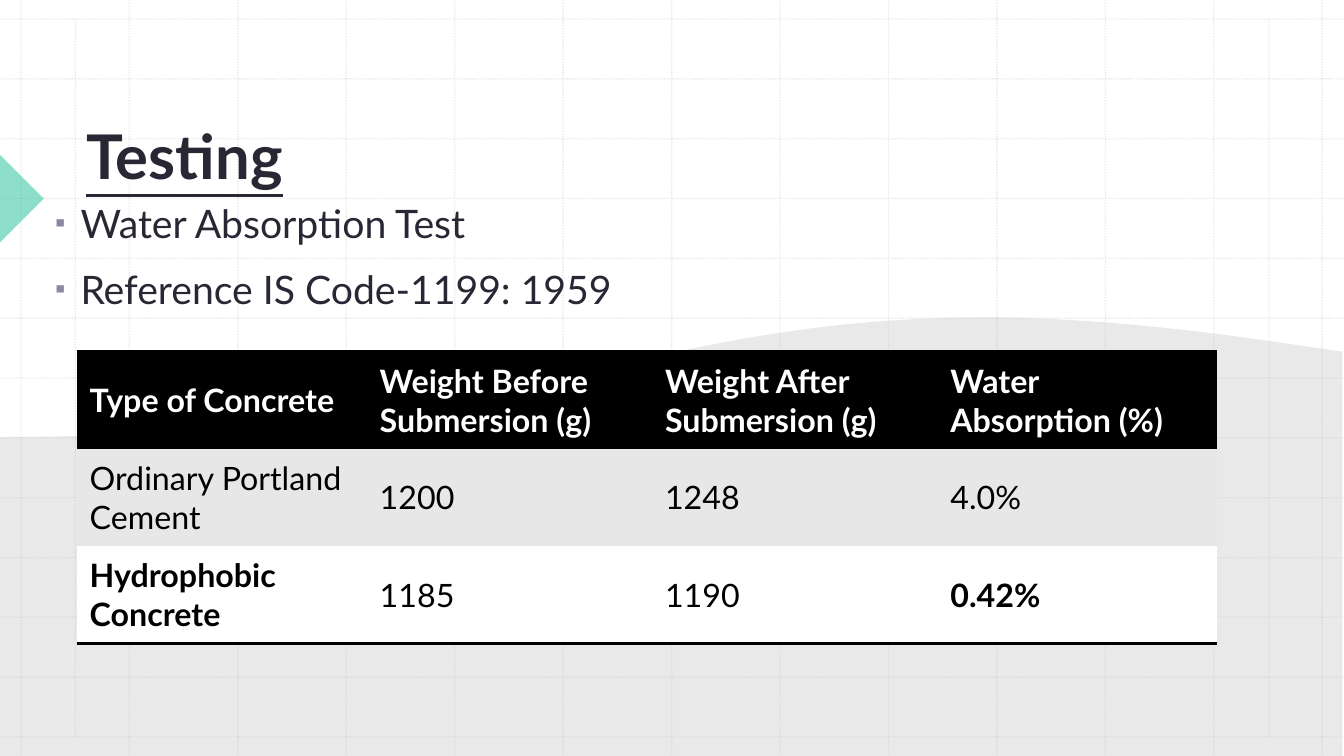
from lxml.etree import SubElement
from pptx import Presentation
from pptx.dml.color import RGBColor
from pptx.enum.dml import MSO_LINE
from pptx.enum.shapes import MSO_CONNECTOR, MSO_SHAPE
from pptx.enum.text import MSO_ANCHOR
from pptx.oxml.ns import qn
from pptx.util import Cm, Pt

HEADING = "Testing"
POINTS = ["Water Absorption Test", "Reference IS Code-1199: 1959"]
RESULTS = [
    ["Type of Concrete", "Weight Before Submersion (g)", "Weight After Submersion (g)", "Water Absorption (%)"],
    ["Ordinary Portland Cement", "1200", "1248", "4.0%"],
    ["Hydrophobic Concrete", "1185", "1190", "0.42%"],
]
BOLD_RESULTS = {"Hydrophobic Concrete", "0.42%"}
COLUMN_WIDTHS = [7.31, 7.19, 7.19, 7.04]
ROW_HEIGHT = 2.45
ROW_FILLS = ["000000", "E7E7E7", "FFFFFF"]
ROW_INKS = ["FFFFFF", "000000", "000000"]

FONT = "Lato"
INK, BULLET, GRID, ACCENT = "2A2735", "8D87A6", "BCBCBC", "1EBE9B"
WIDTH, HEIGHT = 33.87, 19.05
GRID_X, GRID_Y, GRID_STEPS = (0.53, 33.32), (0.48, 18.57), 12
MARGINS_X = [1.9, 31.98]
HILL_RISE = [(1.5, 11.0), (13.44, 10.8), (16.43, 8.0), (24.82, 8.0)]
HILL_FALL = [(24.82, 8.0), (26.9, 8.0), (29.31, 8.2), (32.31, 8.64)]
CURVE_STEPS = 40
NO_TABLE_STYLE = "{2D5ABB26-0587-4C30-8999-92F81FD0307C}"


def rgb(color):
    return RGBColor.from_string(color)


def paint(fill, color):
    fill.solid()
    fill.fore_color.rgb = rgb(color)


def set_opacity(shape, percent):
    color = next(shape._element.spPr.iter(qn("a:srgbClr")))
    SubElement(color, qn("a:alpha"), val=str(percent * 1000))


def style_text(paragraph, size, color, bold=False):
    for run in paragraph.runs:
        run.font.name = FONT
        run.font.size = Pt(size)
        run.font.bold = bold
        run.font.color.rgb = rgb(color)


def grid_line(x1, y1, x2, y2):
    line = slide.shapes.add_connector(MSO_CONNECTOR.STRAIGHT, Cm(x1), Cm(y1), Cm(x2), Cm(y2))
    line.line.color.rgb = rgb(GRID)
    line.line.width = Pt(1)
    line.line.dash_style = MSO_LINE.ROUND_DOT
    set_opacity(line, 30)
    SubElement(line._element.spPr, qn("a:effectLst"))


def curve(controls):
    for step in range(CURVE_STEPS + 1):
        t = step / CURVE_STEPS
        weights = [(1 - t) ** 3, 3 * t * (1 - t) ** 2, 3 * t**2 * (1 - t), t**3]
        yield tuple(Cm(sum(w * p[axis] for w, p in zip(weights, controls))) for axis in (0, 1))


def tint(shape, color, opacity):
    paint(shape.fill, color)
    set_opacity(shape, opacity)
    shape.line.fill.background()
    shape.shadow.inherit = False


def text_frame(left, top, width, height, anchor):
    frame = slide.shapes.add_textbox(Cm(left), Cm(top), Cm(width), Cm(height)).text_frame
    frame.word_wrap = True
    frame.vertical_anchor = anchor
    return frame


def add_bullet(paragraph):
    props = paragraph._p.get_or_add_pPr()
    props.set("marL", str(Cm(0.64)))
    props.set("indent", str(-Cm(0.64)))
    SubElement(SubElement(props, qn("a:buClr")), qn("a:srgbClr"), val=BULLET)
    SubElement(props, qn("a:buSzPct"), val="75000")
    SubElement(props, qn("a:buFont"), typeface="Arial")
    SubElement(props, qn("a:buChar"), char="▪")


def add_border(cell, side):
    props = cell._tc.get_or_add_tcPr()
    border = SubElement(props, qn(side), w=str(Pt(2)))
    SubElement(SubElement(border, qn("a:solidFill")), qn("a:srgbClr"), val="000000")
    props.insert(0, border)


deck = Presentation()
deck.slide_width, deck.slide_height = Cm(WIDTH), Cm(HEIGHT)
slide = deck.slides.add_slide(deck.slide_layouts[6])

for step in range(GRID_STEPS + 1):
    x, y = (start + (end - start) * step / GRID_STEPS for start, end in (GRID_X, GRID_Y))
    grid_line(x, 0, x, HEIGHT)
    grid_line(0, y, WIDTH, y)
for x in MARGINS_X:
    grid_line(x, GRID_Y[0], x, GRID_Y[1])

hill_outline = slide.shapes.build_freeform(0, Cm(HEIGHT))
corners = [(Cm(0), Cm(11.02))], [(Cm(33.83), Cm(8.86)), (Cm(33.83), Cm(HEIGHT))]
hill_outline.add_line_segments([*corners[0], *curve(HILL_RISE), *curve(HILL_FALL), *corners[1]], close=True)
tint(hill_outline.convert_to_shape(), GRID, 32)

marker = slide.shapes.add_shape(MSO_SHAPE.RIGHT_TRIANGLE, Cm(-0.79), Cm(4.22), Cm(1.57), Cm(1.57))
marker.rotation = 225
tint(marker, ACCENT, 50)

heading = text_frame(1.93, 1.24, 12.27, 5.33, MSO_ANCHOR.MIDDLE).paragraphs[0]
heading.text = HEADING
style_text(heading, 44, INK, bold=True)
heading.runs[0].font.underline = True

points = text_frame(1.14, 4.78, 15.82, 3.3, MSO_ANCHOR.TOP)
points.text = "\n".join(POINTS)
for index, point in enumerate(points.paragraphs):
    point.line_spacing = 1.1
    point.space_before = Pt(10 if index else 0)
    add_bullet(point)
    style_text(point, 28, INK)

results = slide.shapes.add_table(
    len(RESULTS), len(COLUMN_WIDTHS), Cm(1.93), Cm(8.86),
    Cm(sum(COLUMN_WIDTHS)), Cm(ROW_HEIGHT * len(RESULTS))).table
results.first_row = results.horz_banding = False
results._tbl.tblPr.find(qn("a:tableStyleId")).text = NO_TABLE_STYLE
for column, width in zip(results.columns, COLUMN_WIDTHS):
    column.width = Cm(width)
for r, values in enumerate(RESULTS):
    results.rows[r].height = Cm(ROW_HEIGHT)
    for c, value in enumerate(values):
        cell = results.cell(r, c)
        cell.text_frame.text = value
        cell.vertical_anchor = MSO_ANCHOR.MIDDLE
        cell.margin_left = cell.margin_right = Cm(0.33)
        cell.margin_top = cell.margin_bottom = Cm(0.16)
        paint(cell.fill, ROW_FILLS[r])
        style_text(cell.text_frame.paragraphs[0], 23, ROW_INKS[r], r == 0 or value in BOLD_RESULTS)
        if r == 0:
            add_border(cell, "a:lnT")
        if r == len(RESULTS) - 1:
            add_border(cell, "a:lnB")

deck.save("out.pptx")
